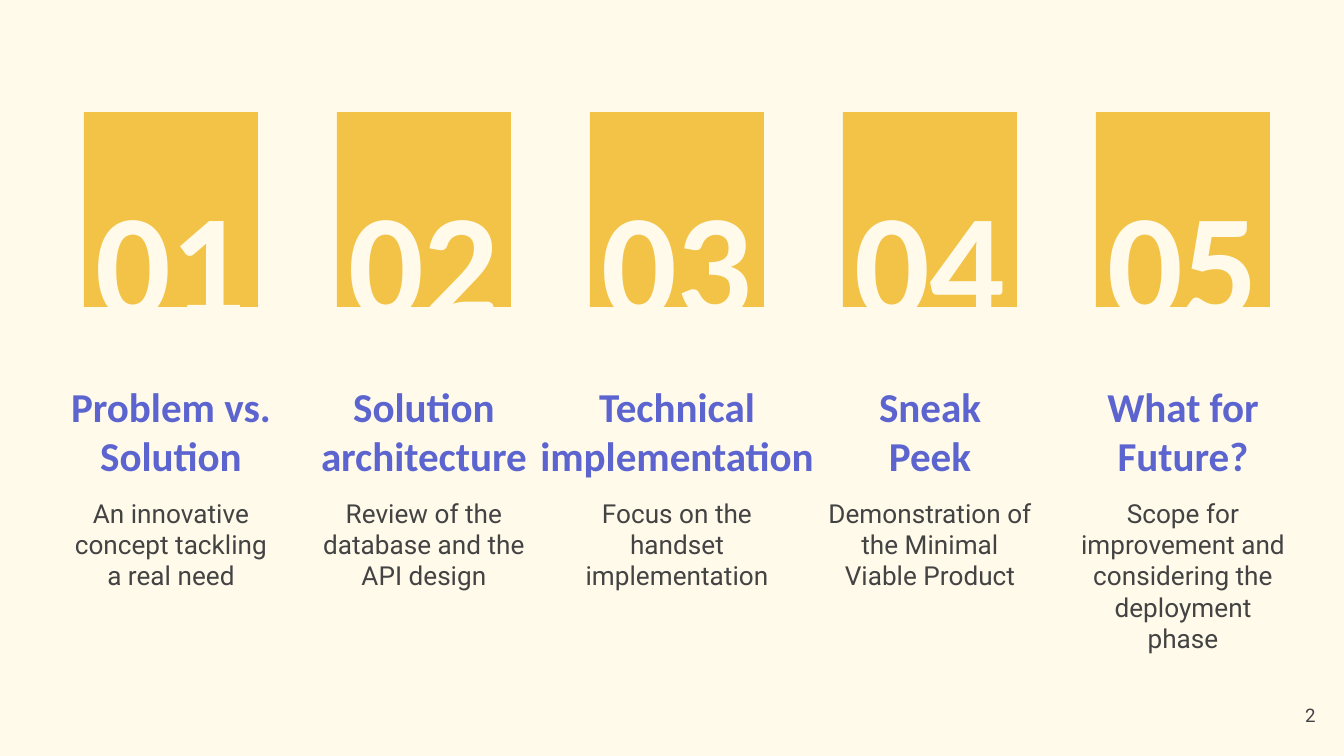
import pptx
import pptx.dml.color
import pptx.enum.shapes
import pptx.enum.text
import pptx.util

PX = 9144000 / 1344
CREAM, YELLOW, BLUE, GREY = "FFFAEA", "F3C347", "5C65CF", "434343"
ANCHOR = pptx.enum.text.MSO_ANCHOR
ALIGN = pptx.enum.text.PP_ALIGN

FIRST_CENTER, PITCH = 171, 253
HEADING_WIDTH, WIDE_HEADING_WIDTH = 235, 335
SECTIONS = [
    ("Problem vs. Solution", "An innovative concept tackling a real need", HEADING_WIDTH),
    ("Solution\varchitecture", "Review of the database and the API design", HEADING_WIDTH),
    ("Technical\vimplementation", "Focus on the handset implementation", WIDE_HEADING_WIDTH),
    ("Sneak\vPeek", "Demonstration of the Minimal Viable Product", HEADING_WIDTH),
    ("What for Future?", "Scope for improvement and considering the deployment phase",
     HEADING_WIDTH),
]


def px(length):
    return pptx.util.Emu(round(length * PX))


def color(value):
    return pptx.dml.color.RGBColor.from_string(value)


def centered(center, top, width, height):
    """Return left, top, width, height in EMU around a column's center line."""
    return [px(length) for length in (center - width / 2, top, width, height)]


def add_card(page, place):
    card = page.shapes.add_shape(pptx.enum.shapes.MSO_SHAPE.RECTANGLE, *place)
    card.shadow.inherit = False
    card.fill.solid()
    card.fill.fore_color.rgb = color(YELLOW)
    card.line.fill.background()


def write(box, text, size, font, ink, bold=False, anchor=ANCHOR.TOP, align=ALIGN.CENTER, inset=13):
    frame = box.text_frame
    frame.text = text
    frame.word_wrap = True
    frame.auto_size = pptx.enum.text.MSO_AUTO_SIZE.NONE
    frame.vertical_anchor = anchor
    frame.margin_left = frame.margin_right = px(13)
    frame.margin_top = frame.margin_bottom = px(inset)
    for para in frame.paragraphs:
        para.alignment = align
        for span in para.runs:
            span.font.size = pptx.util.Pt(size)
            span.font.name = font
            span.font.bold = bold
            span.font.color.rgb = color(ink)


def add_text(page, place, text, *style, **options):
    write(page.shapes.add_textbox(*place), text, *style, **options)


def add_heading(page, place, text, is_title):
    if is_title:
        box = page.shapes.title
        box.left, box.top, box.width, box.height = place
    else:
        box = page.shapes.add_textbox(*place)
    write(box, text, 22, "Calibri", BLUE, bold=True, anchor=ANCHOR.BOTTOM)


def add_section(page, index, heading, summary, heading_width):
    center = FIRST_CENTER + index * PITCH
    add_card(page, centered(center, 112, 174, 195))
    add_text(page, centered(center, 154, 304, 207), f"{index + 1:02}",
             80, "Calibri", CREAM, bold=True, anchor=ANCHOR.BOTTOM)
    add_heading(page, centered(center, 276, heading_width, 217), heading, index == 0)
    add_text(page, centered(center, 484, 235, 181), summary, 14, "Roboto", GREY)


def main():
    deck = pptx.Presentation()
    deck.slide_width, deck.slide_height = px(1344), px(756)
    page = deck.slides.add_slide(deck.slide_layouts[5])
    page.background.fill.solid()
    page.background.fill.fore_color.rgb = color(CREAM)
    for index, section in enumerate(SECTIONS):
        add_section(page, index, *section)
    add_text(page, [px(length) for length in (1292, 697, 55, 36)], "2",
             10, "Roboto", GREY, align=ALIGN.LEFT, inset=7)
    deck.save("out.pptx")


if __name__ == "__main__":
    main()
